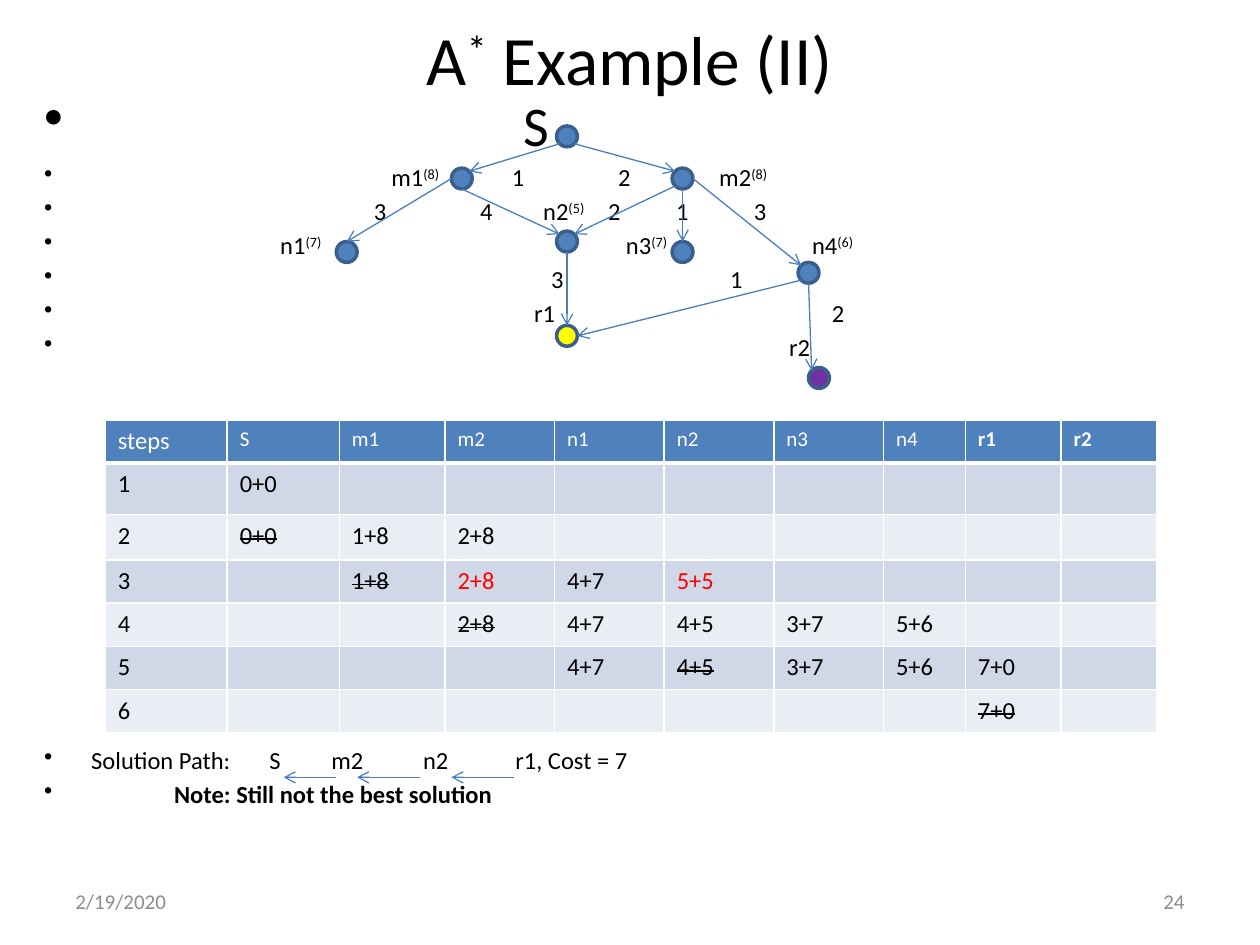
from dataclasses import dataclass
from math import cos, radians, sin

from lxml import etree
from pptx import Presentation
from pptx.dml.color import RGBColor
from pptx.enum.shapes import MSO_CONNECTOR, MSO_SHAPE
from pptx.enum.text import MSO_ANCHOR, PP_ALIGN
from pptx.oxml.ns import qn
from pptx.util import Cm, Pt

STRAIGHT = MSO_CONNECTOR.STRAIGHT
ELLIPSE = MSO_SHAPE.OVAL
TOP, MIDDLE = MSO_ANCHOR.TOP, MSO_ANCHOR.MIDDLE
LEFT, CENTER, RIGHT = PP_ALIGN.LEFT, PP_ALIGN.CENTER, PP_ALIGN.RIGHT


@dataclass(frozen=True)
class Theme:
    font: str = "Calibri"
    ink: str = "000000"
    muted: str = "8C8C8C"
    white: str = "FFFFFF"
    accent: str = "4F81BD"
    outline: str = "3A5F8C"
    edge: str = "4B7EBC"
    goal: str = "FFFF00"
    other_goal: str = "7030A0"
    changed: str = "FF0000"
    bands: tuple = ("D0D8E8", "E9EDF4")
    title: float = 39.6
    start: float = 32
    body: float = 14
    small: float = 12


THEME = Theme()
DIAMETER = 0.42
NODES = {
    "S": (11.43, 2.75), "m1": (9.31, 3.6), "m2": (13.76, 3.6),
    "n1": (6.99, 5.08), "n2": (11.43, 4.87), "n3": (13.76, 5.08),
    "n4": (16.3, 5.5), "r1": (11.43, 6.77), "r2": (16.51, 7.62),
}
GOALS = {"r1": THEME.goal, "r2": THEME.other_goal}
EDGES = [
    ("S", 225, "m1", 45), ("S", 315, "m2", 135),
    ("m1", 180, "n1", 90), ("m1", 270, "n2", 135),
    ("m2", 225, "n2", 45), ("m2", 270, "n3", 90), ("m2", 0, "n4", 135),
    ("n2", 270, "r1", 90), ("n4", 225, "r1", 0), ("n4", 270, "r2", 135),
]
PATH_ARROWS = [(6.78, 5.72), (8.46, 7.2), (10.36, 9.1)]
PATH_ARROW_Y = 15.67
LINE_GAP = 2.6
TABLE_GAP = 219
GRAPH_LINES = [
    [(9.66, "S")],
    [(7, "m1^(8)^"), (9.43, "1"), (11.57, "2"), (13.61, "m2^(8)^")],
    [(6.65, "3"), (8.79, "4"), (10.06, "n2^(5)^"), (11.37, "2"),
     (12.74, "1"), (14.31, "3")],
    [(4.76, "n1^(7)^"), (11.73, "n3^(7)^"), (15.48, "n4^(6)^")],
    [(10.22, "3"), (13.83, "1")],
    [(9.88, "r1"), (15.88, "2")],
    [(15.02, "r2")],
]
SOLUTION = [(0.95, "Solution Path:"), (4.54, "S"), (5.79, "m2"),
            (7.64, "n2"), (9.5, "r1, Cost = 7")]
NOTE = [(2.62, "Note: Still not the best solution")]
COLUMNS = [2.46, 2.26, 2.13, 2.21, 2.21, 2.21, 2.21, 1.65, 1.93, 1.93]
ROWS = [0.86, 1.04, 0.92, 0.87, 0.87, 0.87, 0.87]
HEADER = ["steps", "S", "m1", "m2", "n1", "n2", "n3", "n4", "r1", "r2"]
STEPS = [
    {"S": "0+0"},
    {"S": "-0+0", "m1": "1+8", "m2": "2+8"},
    {"m1": "-1+8", "m2": "!2+8", "n1": "4+7", "n2": "!5+5"},
    {"m2": "-2+8", "n1": "4+7", "n2": "4+5", "n3": "3+7", "n4": "5+6"},
    {"n1": "4+7", "n2": "-4+5", "n3": "3+7", "n4": "5+6", "r1": "7+0"},
    {"r1": "-7+0"},
]


def rgb(color):
    return RGBColor.from_string(color)


def write(paragraph, text, size, color=THEME.ink, bold=False):
    font = paragraph.font
    font.name, font.size, font.bold = THEME.font, Pt(size), bold
    font.color.rgb = rgb(color)
    for index, part in enumerate(text.split("^")):
        if part:
            run = paragraph.add_run()
            run.text = part
            if index % 2:
                run._r.get_or_add_rPr().set("baseline", "30000")


def add_text_frame(slide, left, top, width, height, anchor=MIDDLE):
    frame = slide.shapes.add_textbox(Cm(left), Cm(top), Cm(width), Cm(height)).text_frame
    frame.word_wrap = True
    frame.vertical_anchor = anchor
    return frame


def add_line_of_text(slide, box, text, size, color, align):
    paragraph = add_text_frame(slide, *box).paragraphs[0]
    paragraph.alignment = align
    write(paragraph, text, size, color)


def write_bullet(paragraph, labels, size=THEME.body, gap=LINE_GAP, bold=False):
    paragraph.space_before = Pt(gap)
    write(paragraph, "".join("\t" + label for _, label in labels), size, bold=bold)
    properties = paragraph._p.get_or_add_pPr()
    properties.set("marL", "0")
    properties.set("indent", "0")
    bullet = etree.Element(qn("a:buChar"), char="•")
    stops = etree.Element(qn("a:tabLst"))
    for position, _ in labels:
        etree.SubElement(stops, qn("a:tab"), pos=str(Cm(position)), algn="l")
    defaults = properties.find(qn("a:defRPr"))
    defaults.addprevious(bullet)
    defaults.addprevious(stops)


def add_body(slide):
    frame = add_text_frame(slide, 0.64, 1.7, 24.13, 15.88, TOP)
    write_bullet(frame.paragraphs[0], GRAPH_LINES[0], THEME.start, 0)
    for labels in GRAPH_LINES[1:]:
        write_bullet(frame.add_paragraph(), labels)
    write_bullet(frame.add_paragraph(), SOLUTION, gap=TABLE_GAP)
    write_bullet(frame.add_paragraph(), NOTE, bold=True)


def add_node(slide, name):
    x, y = NODES[name]
    node = slide.shapes.add_shape(
        ELLIPSE, Cm(x - DIAMETER / 2), Cm(y - DIAMETER / 2), Cm(DIAMETER), Cm(DIAMETER))
    node.shadow.inherit = False
    node.fill.solid()
    node.fill.fore_color.rgb = rgb(GOALS.get(name, THEME.accent))
    node.line.color.rgb = rgb(THEME.outline)
    node.line.width = Pt(2)


def rim_point(name, degrees):
    x, y = NODES[name]
    angle = radians(degrees)
    return x + DIAMETER / 2 * cos(angle), y - DIAMETER / 2 * sin(angle)


def add_arrow(slide, start, end):
    arrow = slide.shapes.add_connector(STRAIGHT, *map(Cm, start + end))
    arrow.line.color.rgb = rgb(THEME.edge)
    arrow.line.width = Pt(0.75)
    etree.SubElement(arrow.line._get_or_add_ln(), qn("a:tailEnd"), type="arrow")
    etree.SubElement(arrow._element.spPr, qn("a:effectLst"))


def style_cell(cell, fill, bottom):
    properties = cell._tc.get_or_add_tcPr()
    for side, width in (("lnL", 1), ("lnR", 1), ("lnT", 1), ("lnB", bottom)):
        border = etree.SubElement(properties, qn("a:" + side), w=str(Pt(width)))
        paint = etree.SubElement(border, qn("a:solidFill"))
        etree.SubElement(paint, qn("a:srgbClr"), val=THEME.white)
    cell.fill.solid()
    cell.fill.fore_color.rgb = rgb(fill)


def add_steps_table(slide):
    table = slide.shapes.add_table(
        len(ROWS), len(COLUMNS), Cm(2.12), Cm(8.47), Cm(sum(COLUMNS)), Cm(sum(ROWS))).table
    table.horz_banding = False
    for column, width in zip(table.columns, COLUMNS):
        column.width = Cm(width)
    for row, height in zip(table.rows, ROWS):
        row.height = Cm(height)
    for index, name in enumerate(HEADER):
        cell = table.cell(0, index)
        style_cell(cell, THEME.accent, 3)
        size = THEME.small if index else THEME.body
        write(cell.text_frame.paragraphs[0], name, size, THEME.white, name in GOALS)
    for step, costs in enumerate(STEPS, 1):
        values = {"steps": str(step), **costs}
        for index, name in enumerate(HEADER):
            cell = table.cell(step, index)
            style_cell(cell, THEME.bands[(step - 1) % 2], 1)
            value = values.get(name, "")
            color = THEME.changed if value.startswith("!") else THEME.ink
            paragraph = cell.text_frame.paragraphs[0]
            write(paragraph, value.lstrip("-!"), THEME.body, color)
            if value.startswith("-"):
                paragraph.runs[0]._r.get_or_add_rPr().set("strike", "sngStrike")


def main():
    deck = Presentation()
    deck.slide_width, deck.slide_height = Cm(25.4), Cm(19.05)
    slide = deck.slides.add_slide(deck.slide_layouts[6])
    add_body(slide)
    add_line_of_text(slide, (1.27, 0.42, 22.86, 1.48), "A^*^ Example (II)",
                     THEME.title, THEME.ink, CENTER)
    add_line_of_text(slide, (1.27, 17.66, 5.93, 1.01), "2/19/2020",
                     THEME.small, THEME.muted, LEFT)
    add_line_of_text(slide, (18.2, 17.66, 5.93, 1.01), "24",
                     THEME.small, THEME.muted, RIGHT)
    for name in NODES:
        add_node(slide, name)
    for parent, leaving, child, entering in EDGES:
        add_arrow(slide, rim_point(parent, leaving), rim_point(child, entering))
    add_steps_table(slide)
    for start, end in PATH_ARROWS:
        add_arrow(slide, (start, PATH_ARROW_Y), (end, PATH_ARROW_Y))
    deck.save("out.pptx")


main()
